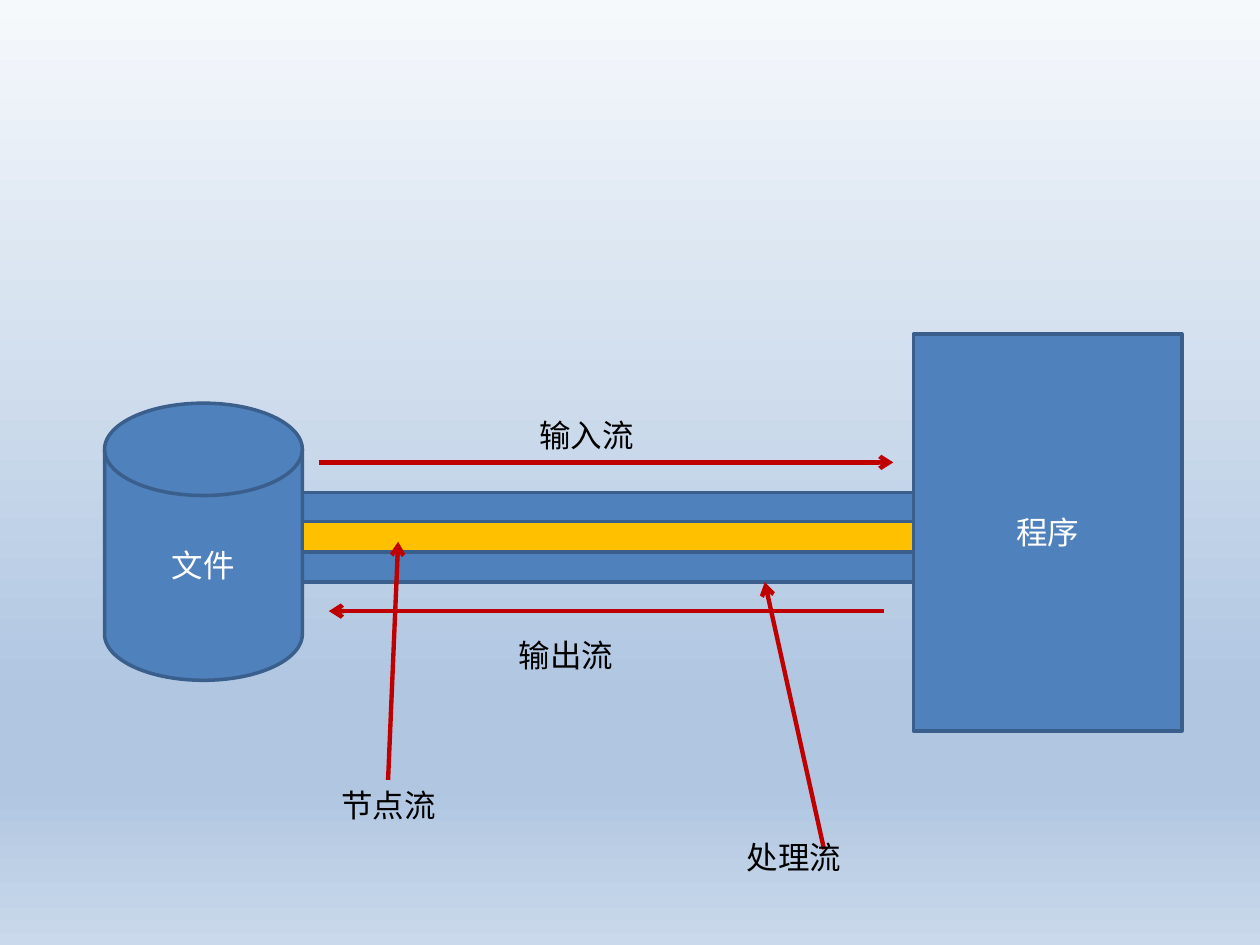
from typing import NamedTuple

from pptx import Presentation
from pptx.dml.color import RGBColor
from pptx.enum.shapes import MSO_CONNECTOR, MSO_SHAPE
from pptx.enum.text import MSO_ANCHOR, MSO_AUTO_SIZE, PP_ALIGN
from pptx.oxml.ns import qn
from pptx.oxml.xmlchemy import OxmlElement
from pptx.slide import Slide
from pptx.util import Inches, Pt

BLUE = RGBColor(0x4F, 0x81, 0xBD)
OUTLINE = RGBColor(0x3A, 0x5F, 0x8C)
AMBER = RGBColor(0xFF, 0xC0, 0x00)
RED = RGBColor(0xC0, 0x00, 0x00)
WHITE = RGBColor(0xFF, 0xFF, 0xFF)
BLACK = RGBColor(0x00, 0x00, 0x00)
SKY = [(0, "F6F9FC"), (74, "B0C6E1"), (83, "B0C6E1"), (100, "CAD9EB")]


class Block(NamedTuple):
    preset: MSO_SHAPE
    left: float
    top: float
    width: float
    height: float
    fill: RGBColor = BLUE
    text: str = ""


class Arrow(NamedTuple):
    x1: float
    y1: float
    x2: float
    y2: float


class Label(NamedTuple):
    text: str
    left: float
    top: float
    width: float


PIPE_LEFT, PIPE_WIDTH = 2.4, 4.85
PROGRAM = Block(MSO_SHAPE.RECTANGLE, 7.25, 2.65, 2.13, 3.15, text="程序")
PROCESSING_PIPE = Block(MSO_SHAPE.RECTANGLE, PIPE_LEFT, 3.91, PIPE_WIDTH, 0.71)
FILE = Block(MSO_SHAPE.FLOWCHART_MAGNETIC_DISK, 0.83, 3.2, 1.57, 2.2, text="文件")
NODE_PIPE = Block(MSO_SHAPE.RECTANGLE, PIPE_LEFT, 4.14, PIPE_WIDTH, 0.24, AMBER)

STREAMS = [
    (Arrow(2.53, 3.67, 7.09, 3.67), Label("输入流", 4.18, 3.25, 2.36)),
    (Arrow(7.02, 4.85, 2.61, 4.85), Label("输出流", 4.02, 5, 2.36)),
]
CALLOUTS = [
    (Arrow(3.08, 6.19, 3.16, 4.3), Label("节点流", 2.61, 6.19, 1.42)),
    (Arrow(6.54, 6.74, 6.07, 4.62), Label("处理流", 5.83, 6.6, 1.73)),
]


def paint_background(slide: Slide) -> None:
    fill = slide.background.fill
    fill.gradient()
    fill.gradient_angle = 270
    stops = slide.element.find(".//" + qn("a:gsLst"))
    for stop in list(stops):
        stops.remove(stop)
    for percent, color in SKY:
        stop = OxmlElement("a:gs")
        stop.set("pos", str(percent * 1000))
        rgb = OxmlElement("a:srgbClr")
        rgb.set("val", color)
        stop.append(rgb)
        stops.append(stop)


def write(frame, text: str, color: RGBColor) -> None:
    paragraph = frame.paragraphs[0]
    paragraph.text = text
    paragraph.font.name = "Calibri"
    paragraph.font.size = Pt(18)
    paragraph.font.color.rgb = color


def draw_block(slide: Slide, block: Block) -> None:
    shape = slide.shapes.add_shape(block.preset, *map(Inches, block[1:5]))
    shape.shadow.inherit = False
    shape.fill.solid()
    shape.fill.fore_color.rgb = block.fill
    shape.line.color.rgb = OUTLINE
    shape.line.width = Pt(2)
    if block.text:
        frame = shape.text_frame
        frame.vertical_anchor = MSO_ANCHOR.MIDDLE
        write(frame, block.text, WHITE)
        frame.paragraphs[0].alignment = PP_ALIGN.CENTER


def draw_arrow(slide: Slide, arrow: Arrow) -> None:
    connector = slide.shapes.add_connector(MSO_CONNECTOR.STRAIGHT, *map(Inches, arrow))
    connector.line.color.rgb = RED
    connector.line.width = Pt(2.5)
    head = OxmlElement("a:tailEnd")
    head.set("type", "arrow")
    connector.line._get_or_add_ln().append(head)
    connector._element.spPr.append(OxmlElement("a:effectLst"))


def draw_label(slide: Slide, label: Label) -> None:
    box = slide.shapes.add_textbox(
        Inches(label.left), Inches(label.top), Inches(label.width), Inches(0.4)
    )
    frame = box.text_frame
    frame.word_wrap = True
    frame.auto_size = MSO_AUTO_SIZE.SHAPE_TO_FIT_TEXT
    write(frame, label.text, BLACK)


def main() -> None:
    deck = Presentation()
    deck.slide_width, deck.slide_height = Inches(10), Inches(7.5)
    slide = deck.slides.add_slide(deck.slide_layouts[6])
    paint_background(slide)
    for block in (PROGRAM, PROCESSING_PIPE, FILE, NODE_PIPE):
        draw_block(slide, block)
    for arrow, label in STREAMS + CALLOUTS:
        draw_arrow(slide, arrow)
        draw_label(slide, label)
    deck.save("out.pptx")


if __name__ == "__main__":
    main()
